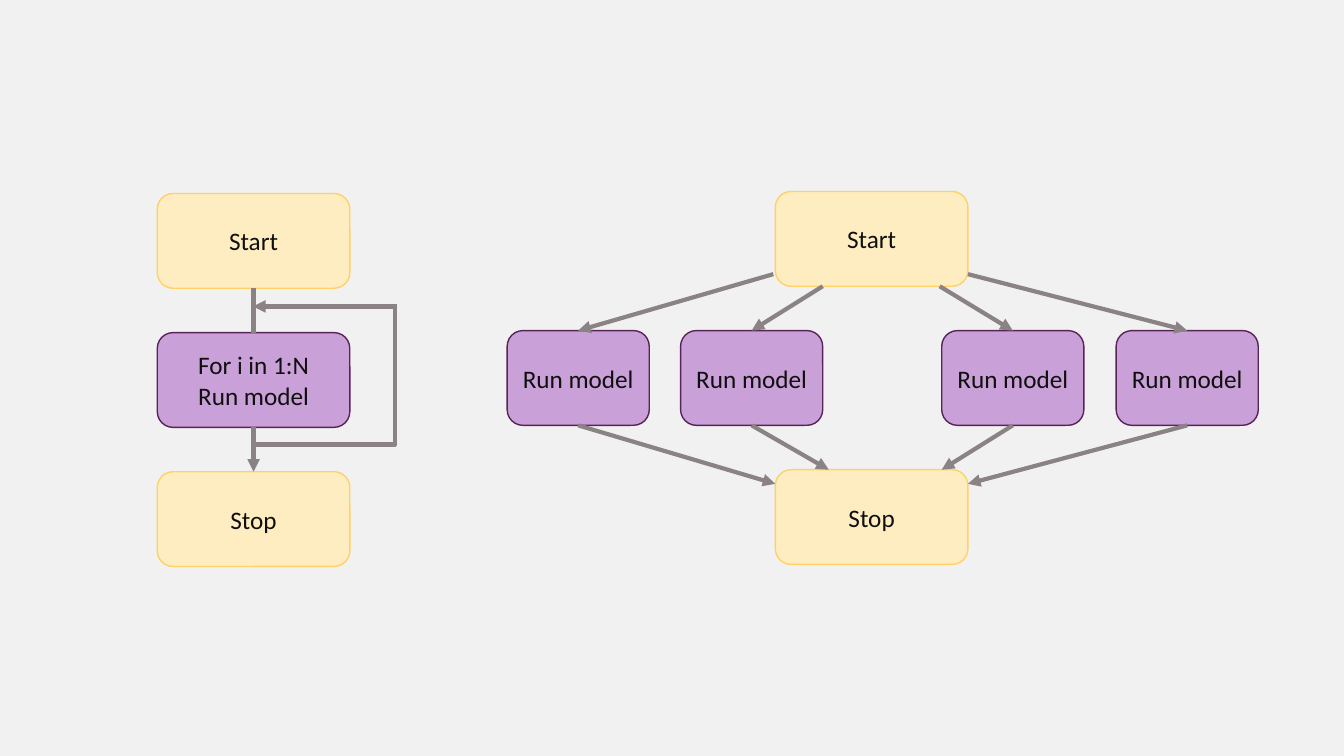
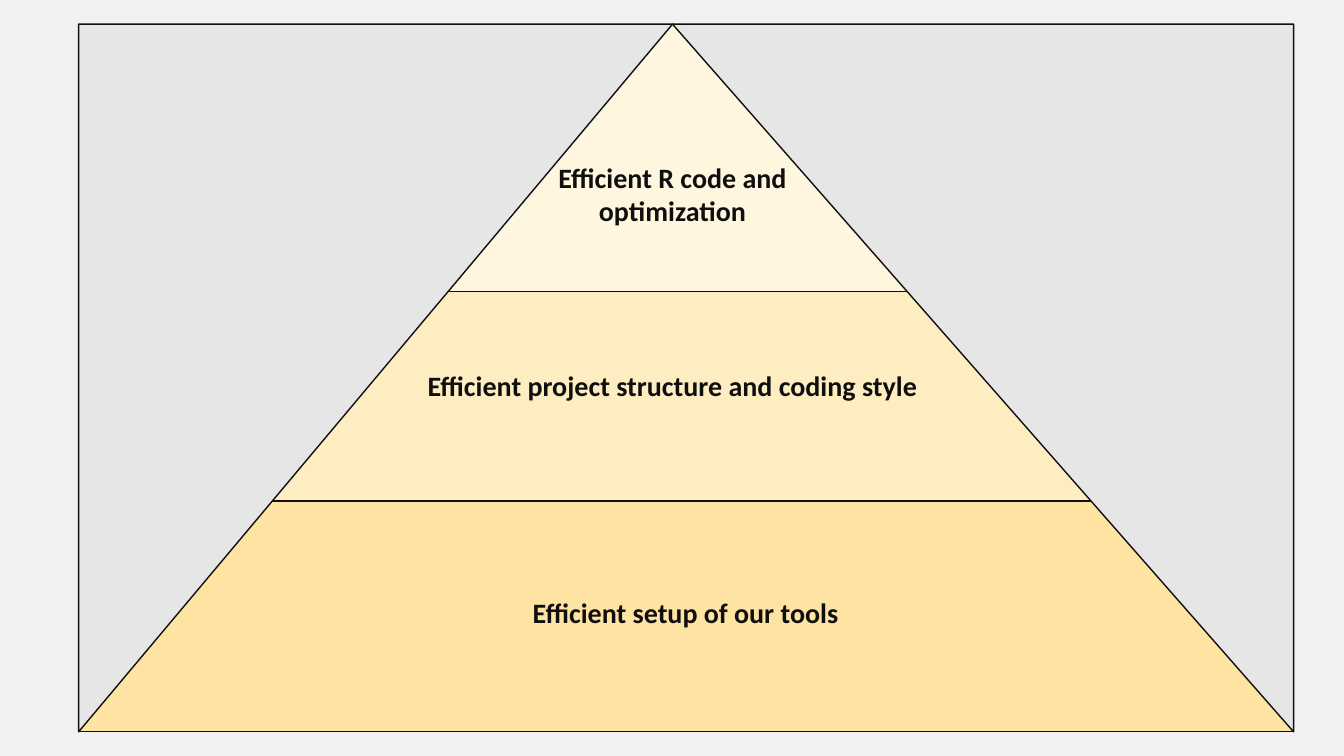
import dataclasses

import pptx
import pptx.dml.color
import pptx.enum.shapes
import pptx.enum.text
import pptx.oxml
import pptx.oxml.ns
import pptx.util

PX = 9144
SHAPE = pptx.enum.shapes.MSO_SHAPE
CONNECTOR = pptx.enum.shapes.MSO_CONNECTOR
qn = pptx.oxml.ns.qn


@dataclasses.dataclass(frozen=True)
class Theme:
    font: str = "Calibri"
    node_size: int = 18
    level_size: int = 20
    border: int = 1
    arrow: int = 3
    background: str = "F1F1F1"
    ink: str = "100F0F"
    cream: str = "FFF6E0"
    sand: str = "FFEDC2"
    honey: str = "FFE3A3"
    gold: str = "FFD166"
    lilac: str = "C9A0D8"
    plum: str = "562457"
    grey: str = "8B8383"
    silver: str = "E7E6E6"


theme = Theme()


def paint(sp, fill, border):
    sp.shadow.inherit = False
    sp.fill.solid()
    sp.fill.fore_color.rgb = pptx.dml.color.RGBColor.from_string(fill)
    sp.line.color.rgb = pptx.dml.color.RGBColor.from_string(border)
    sp.line.width = pptx.util.Pt(theme.border)


def write(tf, lines, size, bold=False):
    tf.word_wrap = True
    for i, line in enumerate(lines):
        p = tf.add_paragraph() if i else tf.paragraphs[0]
        p.alignment = pptx.enum.text.PP_ALIGN.CENTER
        r = p.add_run()
        r.text = line
        r.font.name = theme.font
        r.font.size = pptx.util.Pt(size)
        r.font.bold = bold
        r.font.color.rgb = pptx.dml.color.RGBColor.from_string(theme.ink)


prs = pptx.Presentation()
prs.slide_width = 1333 * PX
prs.slide_height = 750 * PX
master_fill = prs.slide_master.background.fill
master_fill.solid()
master_fill.fore_color.rgb = pptx.dml.color.RGBColor.from_string(theme.background)
blank = prs.slide_layouts[6]

s = prs.slides.add_slide(blank)

end_style = (191, theme.sand, theme.gold)
loop_style = (191, theme.lilac, theme.plum)
model_style = (141, theme.lilac, theme.plum)
node_height = 94
node_step = 138
loop_top = 192
fan_top = 190
model_lefts = (503, 675, 934, 1107)

nodes = []
for left, top, (width, fill, border), lines in [
    (156, loop_top, end_style, ["Start"]),
    (156, loop_top + node_step, loop_style, ["For i in 1:N", "Run model"]),
    (156, loop_top + 2 * node_step, end_style, ["Stop"]),
    (769, fan_top, end_style, ["Start"]),
    (769, fan_top + 2 * node_step, end_style, ["Stop"]),
    *[(x, fan_top + node_step, model_style, ["Run model"]) for x in model_lefts],
]:
    sp = s.shapes.add_shape(
        SHAPE.ROUNDED_RECTANGLE, left * PX, top * PX, width * PX, node_height * PX
    )
    paint(sp, fill, border)
    sp.text_frame.vertical_anchor = pptx.enum.text.MSO_ANCHOR.MIDDLE
    write(sp.text_frame, lines, theme.node_size)
    nodes.append(sp)

loop_start, loop_body, loop_stop, fan_start, fan_stop, *models = nodes

links = [
    ((251, 286), (251, 330), loop_start, loop_body, False),
    ((251, 424), (251, 468), loop_body, loop_stop, True),
    ((394, 304), (251, 304), None, None, True),
]
start_points = [(767, 272), (816, 284), (932, 284), (960, 272)]
stop_points = [(769, 480), (822, 466), (934, 466), (960, 480)]
for model, x, start, stop in zip(models, model_lefts, start_points, stop_points):
    links.append((start, (x + 70, 328), None, model, True))
    links.append(((x + 70, 422), stop, model, None, True))

connectors = []
for (x1, y1), (x2, y2), upper, lower, arrow in links:
    c = s.shapes.add_connector(CONNECTOR.STRAIGHT, x1 * PX, y1 * PX, x2 * PX, y2 * PX)
    if upper is not None:
        c.begin_connect(upper, 2)
    if lower is not None:
        c.end_connect(lower, 0)
    connectors.append((c, arrow))

c = s.shapes.add_connector(CONNECTOR.ELBOW, 392 * PX, 446 * PX, 251 * PX, 305 * PX)
spPr = c._element.spPr
spPr.find(qn("a:xfrm")).set("rot", "5400000")
geom = spPr.find(qn("a:prstGeom"))
guides = geom.find(qn("a:avLst"))
if guides is None:
    guides = pptx.oxml.ns.qn("a:avLst")
    guides = geom.makeelement(guides, {})
    geom.append(guides)
guides.append(guides.makeelement(qn("a:gd"), {"name": "adj1", "fmla": "val 3500"}))
connectors.append((c, False))

for c, arrow in connectors:
    c.line.color.rgb = pptx.dml.color.RGBColor.from_string(theme.grey)
    c.line.width = pptx.util.Pt(theme.arrow)
    spPr = c._element.spPr
    if arrow:
        ln = spPr.find(qn("a:ln"))
        ln.append(ln.makeelement(qn("a:tailEnd"), {"type": "triangle"}))
    spPr.append(spPr.makeelement(qn("a:effectLst"), {}))

s = prs.slides.add_slide(blank)

left, top, right, bottom = 78, 24, 1283, 726
apex = 667

for band_top, band_bottom, fill in [
    (497, bottom, theme.honey),
    (289, 497, theme.sand),
    (top, 289, theme.cream),
]:
    sp = s.shapes.add_shape(
        SHAPE.RECTANGLE,
        left * PX,
        band_top * PX,
        (right - left) * PX,
        (band_bottom - band_top) * PX,
    )
    paint(sp, fill, theme.ink)

for x1, x2, tip in [(left, apex, 1), (apex, right, 0)]:
    sp = s.shapes.add_shape(
        SHAPE.ISOSCELES_TRIANGLE, x1 * PX, top * PX, (x2 - x1) * PX, (bottom - top) * PX
    )
    sp.adjustments[0] = tip
    sp.rotation = 180
    paint(sp, theme.silver, theme.ink)

for x, y, width, height, lines in [
    (473, 586, 414, 44, ["Efficient setup of our tools"]),
    (375, 361, 584, 44, ["Efficient project structure and coding style"]),
    (534, 154, 266, 77, ["Efficient R code and", "optimization"]),
]:
    sp = s.shapes.add_textbox(x * PX, y * PX, width * PX, height * PX)
    write(sp.text_frame, lines, theme.level_size, bold=True)

prs.save("out.pptx")
